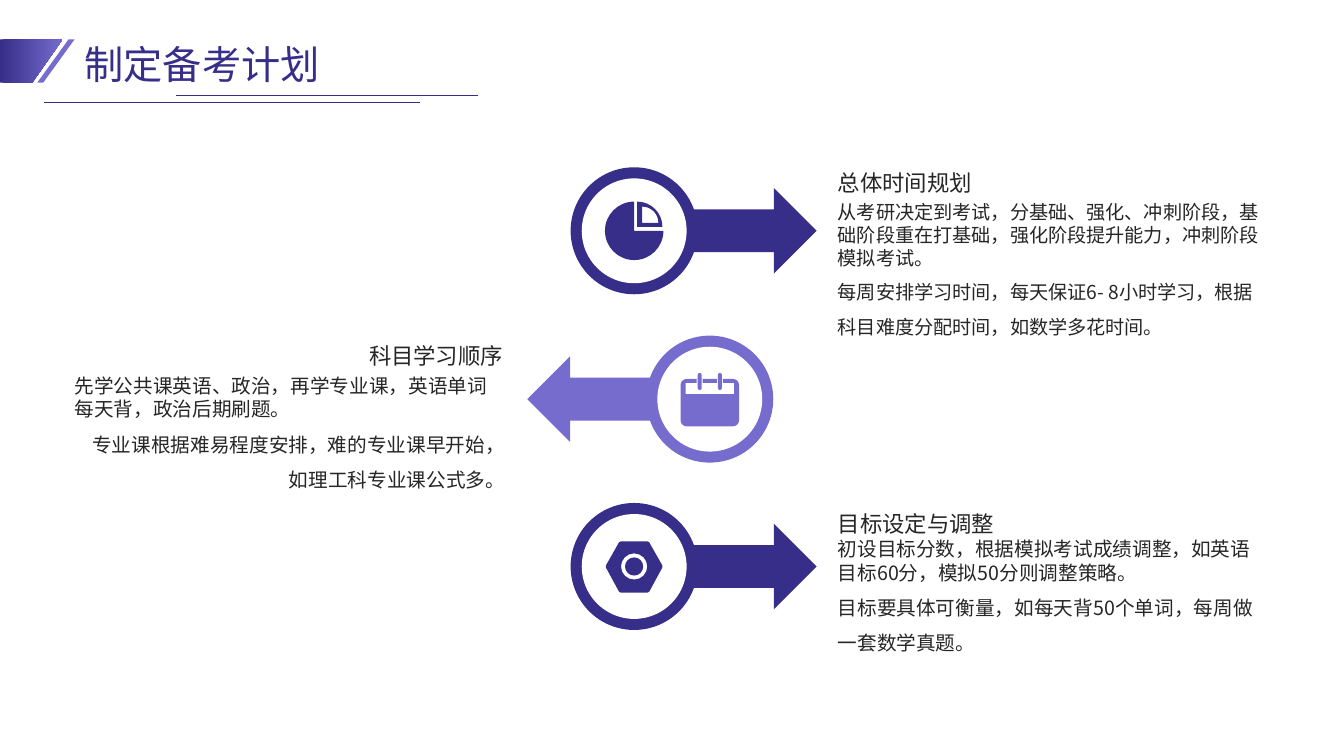
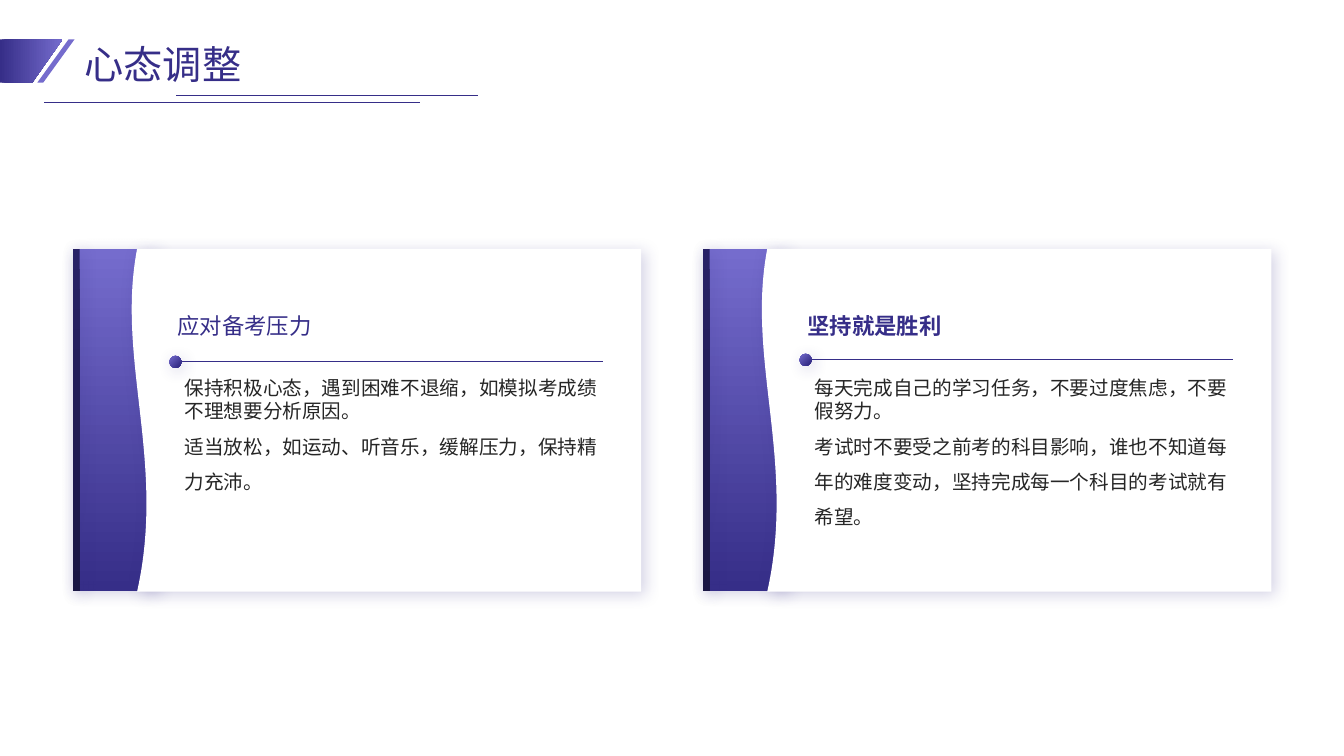
from dataclasses import dataclass
from math import cos, radians, sin

from lxml import etree
from pptx import Presentation
from pptx.dml.color import RGBColor
from pptx.enum import shapes, text
from pptx.oxml import ns
from pptx.util import Inches, Pt


@dataclass(frozen=True)
class Theme:
    dark: str = "362E88"
    light: str = "756CCD"
    ink: str = "262626"
    white: str = "FFFFFF"
    edge: tuple = ("282266", "1B1744")
    font: str = "Noto Sans CJK SC"
    title: float = 28
    head: float = 16
    body: float = 14
    tight: float = 1.19
    loose: float = 1.8
    rule: float = 0.5


T = Theme()
KIND = shapes.MSO_SHAPE
LEFT, RIGHT = text.PP_ALIGN.LEFT, text.PP_ALIGN.RIGHT

PLAN = "制定备考计划"
STEPS = [
    dict(head="总体时间规划", body=[
        "从考研决定到考试，分基础、强化、冲刺阶段，基础阶段重在打基础，强化阶段提升能力，冲刺阶段模拟考试。",
        "每周安排学习时间，每天保证6- 8小时学习，根据科目难度分配时间，如数学多花时间。"],
        icon="pie", mid=(6.29, 2.29), lefts=(8.31, 8.31), tops=(1.26, 1.99), size=13.7),
    dict(head="科目学习顺序", body=[
        "先学公共课英语、政治，再学专业课，英语单词每天背，政治后期刷题。",
        "专业课根据难易程度安排，难的专业课早开始，如理工科专业课公式多。"],
        icon="date", mid=(7.04, 3.96), lefts=(0.71, 0.74), tops=(2.98, 3.71),
        size=T.body, back=True),
    dict(head="目标设定与调整", body=[
        "初设目标分数，根据模拟考试成绩调整，如英语目标60分，模拟50分则调整策略。",
        "目标要具体可衡量，如每天背50个单词，每周做一套数学真题。"],
        icon="nut", mid=(6.29, 5.62), lefts=(8.31, 8.31), tops=(4.65, 5.33), size=T.body),
]
MIND = "心态调整"
CARDS = [
    dict(head="应对备考压力", bold=False, rule=3.59, body=[
        "保持积极心态，遇到困难不退缩，如模拟考成绩不理想要分析原因。",
        "适当放松，如运动、听音乐，缓解压力，保持精力充沛。"]),
    dict(head="坚持就是胜利", bold=True, rule=3.57, body=[
        "每天完成自己的学习任务，不要过度焦虑，不要假努力。",
        "考试时不要受之前考的科目影响，谁也不知道每年的难度变动，坚持完成每一个科目的考试就有希望。"]),
]


def paint(shape, fill, angle=0, stop=1.0, glow=False):
    shape.shadow.inherit = False
    shape.line.fill.background()
    if isinstance(fill, str):
        shape.fill.solid()
        shape.fill.fore_color.rgb = RGBColor.from_string(fill)
    else:
        shape.fill.gradient()
        shape.fill.gradient_angle = angle
        for mark, tone in zip(shape.fill.gradient_stops, fill):
            mark.color.rgb = RGBColor.from_string(tone)
        shape.fill.gradient_stops[0].position = 0
        shape.fill.gradient_stops[1].position = stop
    if glow:
        fx = shape._element.spPr.find(ns.qn("a:effectLst"))
        cast = etree.SubElement(fx, ns.qn("a:outerShdw"), blurRad=str(Pt(11)),
                                dist=str(Pt(3)), dir="2700000", algn="tl", rotWithShape="0")
        tone = etree.SubElement(cast, ns.qn("a:srgbClr"), val=T.dark)
        etree.SubElement(tone, ns.qn("a:alpha"), val="21000")
    return shape


def block(slide, kind, box, fill, **opts):
    return paint(slide.shapes.add_shape(kind, *map(Inches, box)), fill, **opts)


def disc(slide, mid, rad, fill, **opts):
    x, y = mid
    return block(slide, KIND.OVAL, (x - rad, y - rad, 2 * rad, 2 * rad), fill, **opts)


def outline(slide, loops, fill, mid=(0, 0), **opts):
    loops = [[[Inches(v + mid[i % 2]) for i, v in enumerate(spot)] for spot in loop]
             for loop in loops]
    pen = slide.shapes.build_freeform(*loops[0][0], scale=1.0)
    for i, loop in enumerate(loops):
        if i:
            pen.move_to(*loop[0])
        pen.add_line_segments([spot[-2:] for spot in loop[1:]], close=True)
    shape = pen.convert_to_shape()
    parts = list(shape._element.iter(ns.qn("a:lnTo")))
    spots = [spot for loop in loops for spot in loop[1:]]
    for part, spot in zip(parts, spots):
        if len(spot) == 6:
            part.tag = ns.qn("a:cubicBezTo")
            for i in (0, 2):
                point = etree.Element(ns.qn("a:pt"), x=str(spot[i] - shape.left),
                                      y=str(spot[i + 1] - shape.top))
                part.insert(i // 2, point)
    return paint(shape, fill, **opts)


def rule(slide, x, end, y):
    line = slide.shapes.add_connector(shapes.MSO_CONNECTOR.STRAIGHT,
                                      *map(Inches, (x, y, end, y)))
    line.line.color.rgb = RGBColor.from_string(T.dark)
    line.line.width = Pt(T.rule)
    etree.SubElement(line._element.spPr, ns.qn("a:effectLst"))


def style(par, size, color, align=LEFT, bold=False):
    par.alignment = align
    par.space_before = Pt(0)
    font = par.font
    font.name, font.size, font.bold = T.font, Pt(size), bold
    font.color.rgb = RGBColor.from_string(color)
    props = par._p.pPr.find(ns.qn("a:defRPr"))
    face = etree.Element(ns.qn("a:ea"), typeface=T.font)
    props.find(ns.qn("a:latin")).addnext(face)


def setup(frame, anchor):
    frame.word_wrap = True
    frame.auto_size = text.MSO_AUTO_SIZE.NONE
    frame.vertical_anchor = anchor
    frame.margin_left = frame.margin_right = frame.margin_top = frame.margin_bottom = 0


def label(slide, box, words, color, **opts):
    frame = slide.shapes.add_textbox(*map(Inches, box)).text_frame
    setup(frame, text.MSO_ANCHOR.BOTTOM)
    frame.text = words
    style(frame.paragraphs[0], T.head, color, **opts)


def prose(slide, box, lines, size, align=LEFT):
    frame = slide.shapes.add_textbox(*map(Inches, box)).text_frame
    setup(frame, text.MSO_ANCHOR.TOP)
    frame.text = "\n".join(lines)
    looks = [(LEFT, T.tight), (align, T.loose)]
    for par, (side, pitch) in zip(frame.paragraphs, looks):
        par.line_spacing = Pt(round(size * pitch, 1))
        style(par, size, T.ink, side)


def arc(x, y, rad, start=0, end=360):
    bend = 0.5523

    def spot(turn, pull=0):
        t = radians(turn)
        return (x + rad * (cos(t) - pull * sin(t)), y + rad * (sin(t) + pull * cos(t)))
    return [spot(start)] + [spot(t, bend) + spot(t + 90, -bend) + spot(t + 90)
                            for t in range(start, end, 90)]


def soft(x, y, w, h, rad):
    spots = [(x + w - rad, y + h - rad), (x + rad, y + h - rad),
             (x + rad, y + rad), (x + w - rad, y + rad)]
    return [p for i, (a, b) in enumerate(spots) for p in arc(a, b, rad, 90 * i, 90 * i + 90)]


HALF = [(-0.24, -0.05), (-0.24, -0.16), (-0.13, -0.16),
        (-0.13, -0.2), (-0.07, -0.2), (-0.07, -0.16)]
HEX = [(0.13, -0.25), (0.15, -0.24), (0.28, -0.01), (0.28, 0.01), (0.15, 0.25), (0.13, 0.26)]
ICONS = {
    "pie": [[(0, 0)] + arc(0, 0, 0.29, 0, 270),
            [(0.03, -0.04)] + arc(0.03, -0.04, 0.25, 270, 360),
            [(0.08, -0.08)] + arc(0.08, -0.08, 0.16, 270, 360)],
    "date": [soft(-0.29, -0.2, 0.58, 0.47, 0.06),
             HALF + [(-x, y) for x, y in reversed(HALF)],
             soft(-0.12, -0.26, 0.04, 0.17, 0.02),
             soft(0.08, -0.26, 0.04, 0.17, 0.02)],
    "nut": [HEX + [(-x, y) for x, y in reversed(HEX)],
            arc(0, 0, 0.13), arc(0, 0, 0.09)],
}


def start(deck, words):
    slide = deck.slides.add_slide(deck.slide_layouts[5])
    title = slide.shapes.title
    title.left, title.top, title.width, title.height = map(Inches, (0.84, 0.36, 11.76, 0.51))
    setup(title.text_frame, text.MSO_ANCHOR.MIDDLE)
    title.text_frame.text = words
    head = title.text_frame.paragraphs[0]
    head.line_spacing = 1.1
    style(head, T.title, T.dark)
    slash = block(slide, KIND.PARALLELOGRAM, (0.37, 0.39, 0.37, 0.43), T.light)
    slash.adjustments[0] = 0.84
    outline(slide, [[(0, 0.39), (0.62, 0.39), (0.32, 0.82), (0, 0.82)]], (T.dark, T.light))
    rule(slide, 0.44, 4.17, 1.02)
    rule(slide, 1.75, 4.74, 0.95)
    return slide


def step(slide, item):
    back = item.get("back", False)
    tone = T.light if back else T.dark
    side = RIGHT if back else LEFT
    x, y = item["mid"]
    wide, high, gap = 1.55, 0.85, 0.26
    kind = KIND.LEFT_ARROW if back else KIND.RIGHT_ARROW
    edge = x - gap - wide if back else x + gap
    block(slide, kind, (edge, y - high / 2, wide, high), tone)
    disc(slide, item["mid"], 0.63, tone)
    disc(slide, item["mid"], 0.52, T.white)
    outline(slide, ICONS[item["icon"]], tone, item["mid"])
    (x, left), (top, low) = item["lefts"], item["tops"]
    label(slide, (x, top, 4.28, 0.68), item["head"], T.ink, align=side)
    prose(slide, (left, low, 4.27, 1.43), item["body"], item["size"], side)


def card(slide, x, item):
    top, high, end = 2.47, 3.39, 5.87
    block(slide, KIND.RECTANGLE, (x, top, 0.84, high), (T.dark, T.light), angle=90, glow=True)
    wave = [(x + 0.64, end), (x + 5.64, end), (x + 5.64, top), (x + 0.64, top),
            (x + 0.43, 3.57, x + 0.93, 4.58, x + 0.64, end)]
    outline(slide, [wave], T.white, glow=True)
    block(slide, KIND.RECTANGLE, (x, top, 0.07, high), T.edge, angle=270, glow=True)
    y = item["rule"]
    disc(slide, (x + 1.02, y), 0.06, (T.light, T.dark), angle=315, stop=0.83, glow=True)
    rule(slide, x + 1.08, x + 5.26, y)
    label(slide, (x + 1.04, 2.59, 4.21, 0.77), item["head"], T.dark, bold=item["bold"])
    prose(slide, (x + 1.11, 3.73, 4.21, 1.99), item["body"], T.body)


def main():
    deck = Presentation()
    deck.slide_width, deck.slide_height = Inches(13.33), Inches(7.5)
    plan = start(deck, PLAN)
    for item in STEPS:
        step(plan, item)
    mind = start(deck, MIND)
    for i, item in enumerate(CARDS):
        card(mind, 0.72 + 6.25 * i, item)
    deck.save("out.pptx")


if __name__ == "__main__":
    main()
